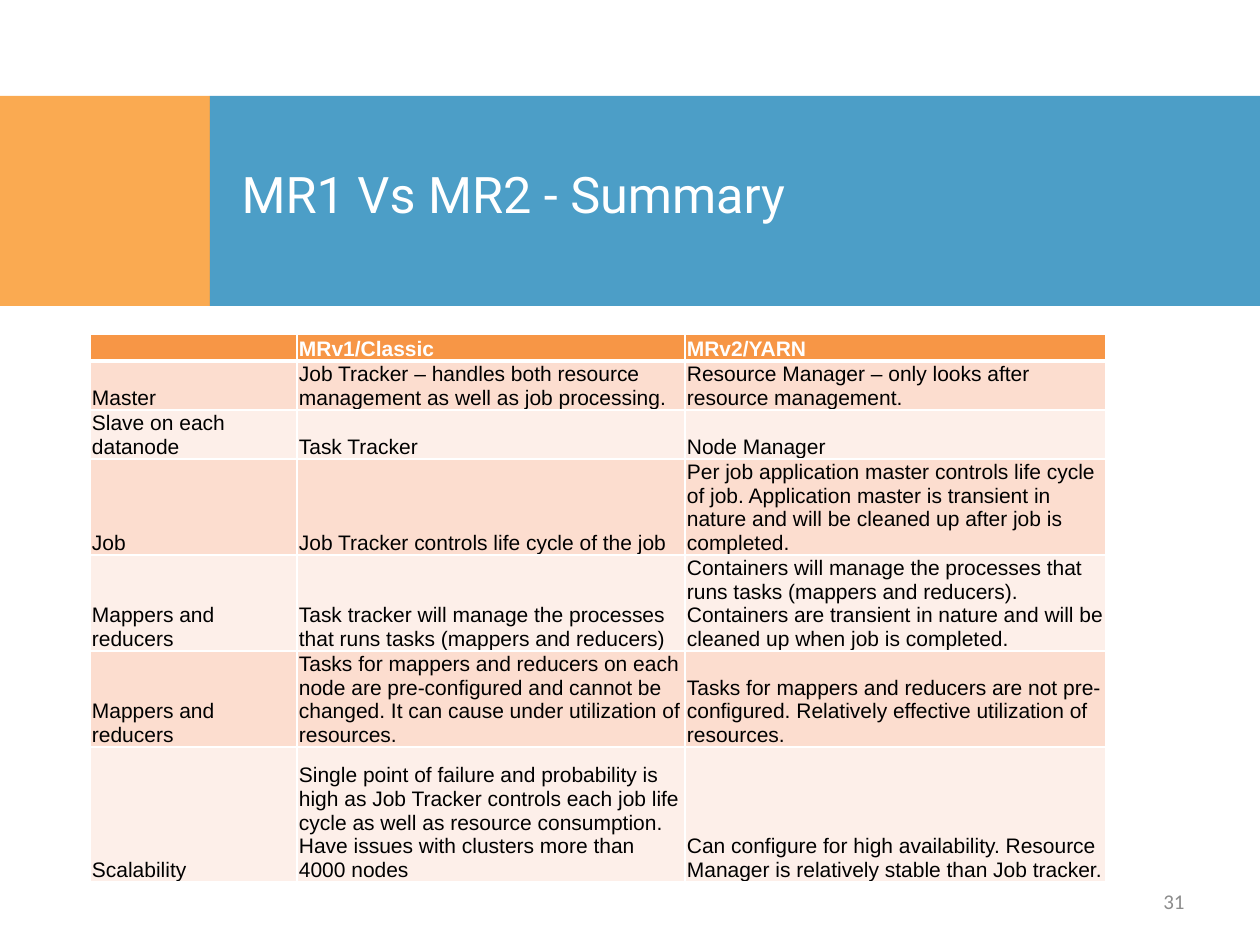
from lxml import etree
from pptx import Presentation
from pptx import util as u
from pptx.dml.color import RGBColor
from pptx.enum import shapes, text
from pptx.oxml.ns import qn

PX_PER_INCH = 126


def px(length):
    return u.Emu(round(length * 914400 / PX_PER_INCH))


def colour(value):
    return RGBColor.from_string(value)


class SlideBuilder:
    white, black, grey = "FFFFFF", "000000", "8C8C8C"
    orange, blue = "F88608", "0075B0"
    header_fill, row_fills = "F79646", ("FCDDCF", "FDEFE9")
    title_font, table_font, number_font = "Roboto", "Arial", "Calibri"

    def __init__(self, page):
        self.page = page

    def style(self, para, font, size, ink, bold=False):
        for span in para.runs:
            span.font.name, span.font.size = font, u.Pt(size)
            span.font.color.rgb, span.font.bold = colour(ink), bold

    def band(self, left, top, width, height, fill, opacity):
        box = self.page.shapes.add_shape(
            shapes.MSO_SHAPE.RECTANGLE, px(left), px(top), px(width), px(height))
        box.shadow.inherit = False
        box.line.fill.background()
        box.fill.solid()
        box.fill.fore_color.rgb = colour(fill)
        tint = box._element.spPr.find(".//" + qn("a:srgbClr"))
        etree.SubElement(tint, qn("a:alpha"), val=str(opacity * 1000))

    def title(self, left, top, width, height, words):
        box = self.page.shapes.title
        box.left, box.top, box.width, box.height = map(px, (left, top, width, height))
        frame = box.text_frame
        frame.text = words
        frame.vertical_anchor = text.MSO_ANCHOR.MIDDLE
        para = frame.paragraphs[0]
        para.alignment = text.PP_ALIGN.LEFT
        self.style(para, self.title_font, 28.8, self.white)
        # Bring the title in front of the bands
        self.page.shapes._spTree.append(box._element)

    def number(self, left, top, width, height, words):
        box = self.page.shapes.add_textbox(px(left), px(top), px(width), px(height))
        frame = box.text_frame
        frame.word_wrap = True
        frame.text = words
        frame.vertical_anchor = text.MSO_ANCHOR.MIDDLE
        para = frame.paragraphs[0]
        para.alignment = text.PP_ALIGN.RIGHT
        self.style(para, self.number_font, 12, self.grey)

    def border(self, cell, side, points):
        line = etree.SubElement(cell._tc.get_or_add_tcPr(), qn("a:ln" + side),
                                w=str(u.Pt(points)))
        fill = etree.SubElement(line, qn("a:solidFill"))
        etree.SubElement(fill, qn("a:srgbClr"), val=self.white)

    def cell(self, cell, row, words):
        header = row == 0
        cell.text = words
        cell.vertical_anchor = text.MSO_ANCHOR.BOTTOM
        cell.margin_left = px(2)
        cell.margin_right = cell.margin_top = px(1)
        cell.margin_bottom = 0
        para = cell.text_frame.paragraphs[0]
        para.line_spacing = u.Pt(13.5)
        self.style(para, self.table_font, 12,
                   self.white if header else self.black, header)
        # The paragraph end takes the text size and font, so rows stay tight
        end = etree.SubElement(para._p, qn("a:endParaRPr"), sz="1200")
        etree.SubElement(end, qn("a:latin"), typeface=self.table_font)
        for side in "LRTB":
            thick = (row, side) in ((0, "B"), (1, "T"))
            self.border(cell, side, 3 if thick else 1)
        cell.fill.solid()
        cell.fill.fore_color.rgb = colour(
            self.header_fill if header else self.row_fills[(row - 1) % 2])

    def table(self, left, top, widths, heights, rows):
        grid = self.page.shapes.add_table(
            len(rows), len(widths), px(left), px(top),
            px(sum(widths)), px(sum(heights))).table
        for column, width in zip(grid.columns, widths):
            column.width = px(width)
        for index, (height, words) in enumerate(zip(heights, rows)):
            grid.rows[index].height = px(height)
            for column, entry in enumerate(words):
                self.cell(grid.cell(index, column), index, entry)


COMPARISON = [
    ("", "MRv1/Classic", "MRv2/YARN"),
    ("Master",
     "Job Tracker – handles both resource management as well as job processing.",
     "Resource Manager – only looks after resource management."),
    ("Slave on each datanode", "Task Tracker", "Node Manager"),
    ("Job",
     "Job Tracker controls life cycle of the job",
     "Per job application master controls life cycle of job. Application master is "
     "transient in nature and will be cleaned up after job is completed."),
    ("Mappers and reducers",
     "Task tracker will manage the processes that runs tasks (mappers and reducers)",
     "Containers will manage the processes that runs tasks (mappers and reducers). "
     "Containers are transient in nature and will be cleaned up when job is completed."),
    ("Mappers and reducers",
     "Tasks for mappers and reducers on each node are pre-configured and cannot be "
     "changed. It can cause under utilization of resources.",
     "Tasks for mappers and reducers are not pre-configured. Relatively effective "
     "utilization of resources."),
    ("Scalability",
     "Single point of failure and probability is high as Job Tracker controls each job "
     "life cycle as well as resource consumption. Have issues with clusters more than "
     "4000 nodes",
     "Can configure for high availability. Resource Manager is relatively stable than "
     "Job tracker."),
]


def main():
    deck = Presentation()
    deck.slide_width, deck.slide_height = px(1260), px(945)
    title_only = deck.slide_layouts[5]
    builder = SlideBuilder(deck.slides.add_slide(title_only))

    # Title bands
    builder.band(0, 96, 210, 210, builder.orange, 70)
    builder.band(210, 96, 1050, 210, builder.blue, 70)
    builder.title(229, 154, 1000, 78, "MR1 Vs MR2 - Summary")

    # Slide number
    builder.number(903, 876, 294, 50, "31")

    # Comparison table
    builder.table(90, 334, (207, 388, 421), (27, 49, 49, 96, 96, 96, 135), COMPARISON)

    deck.save("out.pptx")


if __name__ == "__main__":
    main()
